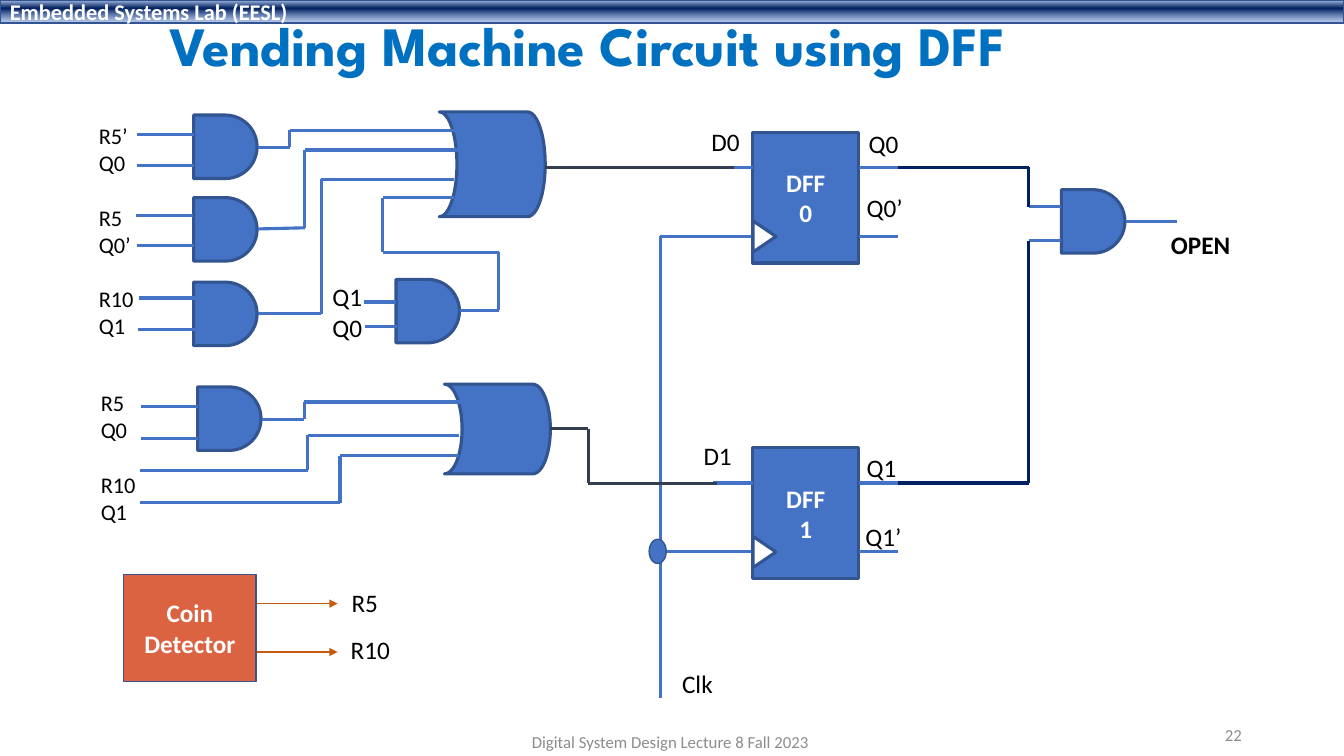
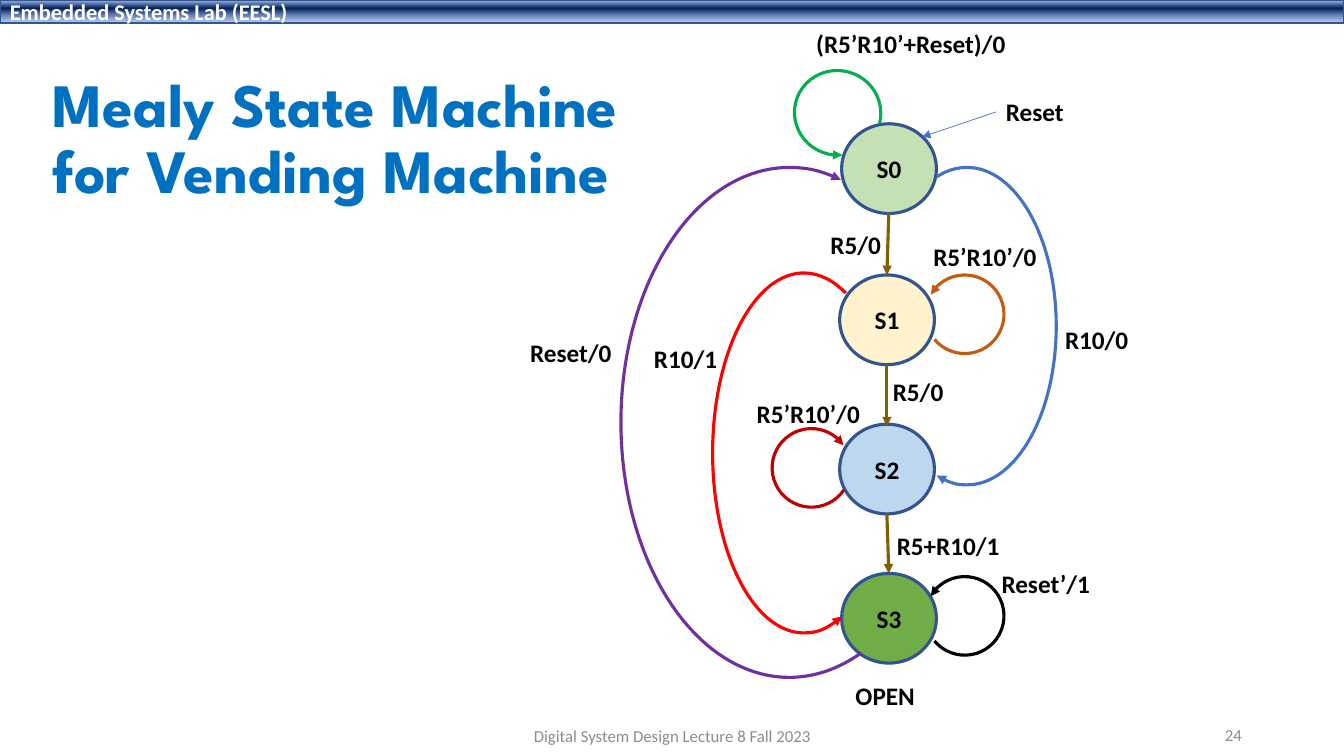
"""Build two slides on a vending machine: its circuit and its Mealy state machine."""
from dataclasses import dataclass
from itertools import pairwise
from typing import Any, NamedTuple

from lxml import etree
from pptx import Presentation
from pptx.dml import color
from pptx.enum import shapes, text
from pptx.oxml import ns
from pptx.util import Cm, Pt

Kind = shapes.MSO_SHAPE
Align = text.PP_ALIGN
Mid = text.MSO_ANCHOR.MIDDLE
Point = tuple[float, float]


@dataclass(frozen=True)
class Theme:
    """Colours, fonts and sizes used on both slides."""
    blue: str = "4472C4"
    edge: str = "325491"
    navy: str = "002060"
    slate: str = "333F50"
    title: str = "0070C0"
    grey: str = "8C8C8C"
    white: str = "FFFFFF"
    black: str = "000000"
    coin: str = "DC6342"
    rust: str = "C55A11"
    olive: str = "806000"
    band: tuple = ((2, "ABC0E4", 100), (38, "002060", 100), (93, "7E9ED6", 64))
    body: str = "Calibri"
    head: str = "League Spartan"
    foot: float = 12
    small: float = 16
    base: float = 18
    thick: float = 2.25
    thin: float = 1


T = Theme()


class Box(NamedTuple):
    """Place and size in centimetres."""
    x: float
    y: float
    w: float
    h: float


class Label(NamedTuple):
    """Free text that does not wrap."""
    words: str
    x: float
    y: float
    w: float
    bold: bool = False
    size: float = T.base


class Wire(NamedTuple):
    """A path of straight lines."""
    points: tuple[Point, ...]
    hue: str = T.blue
    width: float = T.thick
    tip: bool = False


class Loop(NamedTuple):
    """An arc with one arrowhead."""
    box: Box
    hue: str
    start: float = 41.84
    stop: float = 0
    end: str = "headEnd"
    turn: float = 0
    flip: bool = False


class State(NamedTuple):
    """A named circle of the state machine."""
    name: str
    x: float
    y: float
    fill: str


def put(item: Any, form: dict[str, Any]) -> None:
    """Set every value of a format on an object."""
    for key, value in form.items():
        setattr(item, key, value)


def rgb(code: str) -> color.RGBColor:
    """Turn a hex code into a colour."""
    return color.RGBColor.from_string(code)


def node(parent: Any, tag: str, **keys: str) -> Any:
    """Add a drawing element below a parent."""
    return etree.SubElement(parent, ns.qn(f"a:{tag}"), keys)


def stroke(item: Any, hue: str, width: float, end: str = "") -> None:
    """Set line colour and width, and an arrowhead if named."""
    item.line.color.rgb = rgb(hue)
    item.line.width = Pt(width)
    if end:
        node(item.get_or_add_ln(), end, type="triangle")


def write(item: Any, words: str, size: float = T.base, hue: str = T.black, bold: bool = False,
          font: str = T.body, align: Any = Align.LEFT, wrap: bool = True, space: float = 1) -> None:
    """Fill a shape with styled text."""
    frame = item.text_frame
    frame.text = words
    put(frame, {"word_wrap": wrap, "vertical_anchor": Mid})
    for para in frame.paragraphs:
        put(para, {"alignment": align, "line_spacing": space})
        for run in para.runs:
            put(run.font, {"name": font, "size": Pt(size), "bold": bold})
            run.font.color.rgb = rgb(hue)


def area(slide: Any, box: Box, words: str, **form: Any) -> None:
    """Add a text box."""
    write(slide.shapes.add_textbox(*map(Cm, box)), words, **form)


def shape(slide: Any, kind: Any, box: Box, fill: str = T.blue, width: float = T.thick,
          turn: float = 0) -> Any:
    """Add a filled preset shape."""
    item = slide.shapes.add_shape(kind, *map(Cm, box))
    put(item, {"rotation": turn})
    item.shadow.inherit = False
    item.fill.solid()
    item.fill.fore_color.rgb = rgb(fill)
    stroke(item, T.edge, width)
    return item


def label(slide: Any, tag: Label) -> None:
    """Add a label as high as its lines."""
    rows = tag.words.count("\n") + 1
    box = Box(tag.x, tag.y, tag.w, round(0.25 + rows * tag.size * 0.043, 2))
    area(slide, box, tag.words, size=tag.size, bold=tag.bold, wrap=False)


def wire(slide: Any, path: Wire) -> None:
    """Draw each leg of a wire."""
    for start, stop in pairwise(path.points):
        leg = slide.shapes.add_connector(shapes.MSO_CONNECTOR.STRAIGHT, *map(Cm, start + stop))
        stroke(leg, path.hue, path.width, "tailEnd" if path.tip else "")
        node(leg.element.spPr, "effectLst")


def loop(slide: Any, arc: Loop) -> None:
    """Draw an arc with its arrowhead."""
    item = shape(slide, Kind.ARC, arc.box, turn=arc.turn)
    item.fill.background()
    item.adjustments[0] = arc.start
    item.adjustments[1] = arc.stop
    stroke(item, arc.hue, T.thick, arc.end)
    if arc.flip:
        item.element.spPr.xfrm.set("flipH", "1")


def flop(slide: Any, name: str, top: float) -> None:
    """Draw a flip-flop with its pins."""
    left, right = 18.97, 21.64
    write(shape(slide, Kind.RECTANGLE, Box(left, top, 2.67, 3.3)), name,
          hue=T.white, bold=True, align=Align.CENTER)
    data, clock = round(top + 0.89, 2), round(top + 2.62, 2)
    for start, stop, y in ((17.98, left, data), (16.64, left, clock),
                           (right, 22.63, data), (right, 22.63, clock)):
        wire(slide, Wire(((start, y), (stop, y))))
    shape(slide, Kind.ISOSCELES_TRIANGLE, Box(18.87, top + 2.34, 0.79, 0.58), T.white, turn=90)


def page(deck: Any, title: str, box: Box, size: float, foot: Point, number: str) -> Any:
    """Add a slide with band, title and footer."""
    slide = deck.slides.add_slide(deck.slide_layouts[6])
    band = shape(slide, Kind.RECTANGLE, Box(0, 0, 33.87, 0.58), width=T.thin)
    band.fill.gradient()
    band.fill.gradient_angle = 270
    stops = band.element.spPr.find(".//" + ns.qn("a:gsLst"))
    stops.clear()
    for spot, hue, alpha in T.band:
        stop = node(stops, "gs", pos=str(spot * 1000))
        node(node(stop, "srgbClr", val=hue), "alpha", val=str(alpha * 1000))
    write(band, "Embedded Systems Lab (EESL)", T.small, T.white, True)
    area(slide, box, title, size=size, hue=T.title, bold=True, font=T.head, space=0.9)
    area(slide, Box(*foot, 11.43, 1), "Digital System Design Lecture 8 Fall 2023",
         size=T.foot, hue=T.grey, align=Align.CENTER)
    area(slide, Box(23.93, 18.01, 7.62, 1.02), number, size=T.foot, hue=T.grey, align=Align.RIGHT)
    return slide


PAIRS = tuple(Label(words, x, y, 1.4, size=T.small) for words, x, y in (
    ("R5’\nQ0", 2.24, 2.95), ("R5\nQ0’", 2.24, 5), ("R10\nQ1", 2.24, 7.05),
    ("R5\nQ0", 2.29, 9.68), ("R10\nQ1", 2.29, 11.73)))
PINS = PAIRS + (
    Label("D0", 17.68, 3.05, 1.24), Label("Q0", 21.64, 3.1, 1.27), Label("Q0’", 21.59, 4.72, 1.42),
    Label("Q1", 21.59, 11.28, 1.27), Label("Q1’", 21.56, 13, 1.42), Label("D1", 17.48, 10.97, 1.24),
    Label("Clk", 16.94, 16.71, 1.3), Label("OPEN", 29.26, 5.66, 2.03, True),
    Label("R5", 8.61, 14.68, 1.19), Label("R10", 8.59, 15.85, 1.5), Label("Q1\nQ0", 8.13, 6.96, 1.27))
ANDS = ((4.88, 2.9), (4.88, 4.98), (4.88, 7.11), (4.98, 9.75), (9.98, 7.04), (26.75, 4.78))
ORS = (Box(11.07, 2.82, 2.67, 2.64), Box(11.2, 9.68, 2.67, 2.26))
STUBS = ((3.45, 3.38, 1.43), (3.45, 4.18, 1.43), (3.43, 5.44, 1.43), (3.45, 6.18, 1.43),
         (3.5, 7.51, 1.43), (3.49, 8.31, 1.43), (3.55, 10.24, 1.43), (3.56, 11.04, 1.43),
         (9.17, 7.61, 0.8), (9.2, 8.23, 0.8), (25.93, 5.21, 0.82), (25.93, 6.07, 0.82),
         (28.37, 5.59, 1.3))
WIRES = tuple(Wire(((x, y), (round(x + w, 2), y))) for x, y, w in STUBS) + (
    Wire(((6.5, 3.71), (7.3, 3.71), (7.3, 3.28), (11.53, 3.28))),
    Wire(((6.5, 5.77), (7.68, 5.74), (7.68, 3.78), (11.56, 3.78))),
    Wire(((6.5, 7.9), (8.1, 7.9), (8.1, 4.52), (11.43, 4.52))),
    Wire(((11.58, 7.82), (12.57, 7.82), (12.57, 6.36), (9.64, 6.36), (9.64, 4.98), (11.43, 4.98))),
    Wire(((6.6, 10.57), (7.67, 10.57), (7.67, 10.13), (11.63, 10.13))),
    Wire(((3.53, 11.85), (7.76, 11.85), (7.76, 10.97), (11.56, 10.97))),
    Wire(((3.53, 12.67), (8.57, 12.67), (8.57, 11.48), (11.56, 11.48))),
    Wire(((16.64, 5.95), (16.64, 17.6))),
    Wire(((13.74, 4.22), (18.49, 4.22)), T.slate),
    Wire(((13.87, 10.8), (14.83, 10.8), (14.83, 12.18), (18.08, 12.18)), T.slate),
    Wire(((22.63, 4.22), (25.93, 4.22), (25.93, 5.21)), T.navy),
    Wire(((22.63, 12.17), (25.93, 12.17), (25.93, 6.07)), T.navy),
    Wire(((6.45, 15.21), (8.51, 15.21)), T.rust, T.thin, True),
    Wire(((6.45, 16.43), (8.51, 16.43)), T.rust, T.thin, True))

STATES = (State("S0", 21.21, 3.12, "C5E0B4"), State("S1", 21.16, 6.93, "FFF2CC"),
          State("S2", 21.16, 10.69, "BDD7EE"), State("S3", 21.21, 14.45, "70AD47"))
STEPS = (Wire(((22.4, 5.36), (22.35, 6.93)), T.olive, tip=True),
         Wire(((22.35, 9.19), (22.35, 10.74)), T.olive, tip=True),
         Wire(((22.35, 12.95), (22.4, 14.45)), T.olive, tip=True),
         Wire(((25.1, 2.82), (23.24, 3.45)), width=0.5, tip=True))
LOOPS = (Loop(Box(22.12, 4.22, 4.5, 8), T.blue, 155.17, 60.89, "tailEnd"),
         Loop(Box(17.96, 6.88, 4.6, 9.07), "FF0000", 153.18, 61.87, "tailEnd", flip=True),
         Loop(Box(15.65, 4.22, 8.48, 12.85), "7030A0", 154.79, 64.38, flip=True),
         Loop(Box(20.02, 1.78, 2.18, 2.13), "00B050", turn=13.8),
         Loop(Box(23.32, 6.93, 1.98, 1.98), T.rust, turn=140.3),
         Loop(Box(23.32, 14.53, 1.98, 1.98), T.black, turn=140.3),
         Loop(Box(19.46, 10.8, 1.98, 1.98), "C00000", turn=214.6, flip=True))
EVENTS = tuple(Label(*tag, bold=True) for tag in (
    ("OPEN", 21.31, 17.02, 2.03), ("R10/0", 26.59, 8.05, 2.13), ("R5/0", 20.68, 5.64, 1.8),
    ("R10/1", 16.23, 8.53, 2.13), ("Reset", 25.1, 2.31, 1.98), ("R5/0", 22.25, 9.35, 1.8),
    ("R5+R10/1", 22.35, 13.23, 3.12), ("(R5’R10’+Reset)/0", 20.32, 0.58, 5.33),
    ("R5’R10’/0", 23.27, 5.94, 3.15), ("Reset’/1", 24.99, 14.2, 2.77),
    ("Reset/0", 13.11, 8.38, 2.59), ("R5’R10’/0", 18.82, 9.91, 3.15)))


def circuit(deck: Any) -> None:
    """Draw the circuit slide."""
    slide = page(deck, "Vending Machine Circuit using DFF", Box(4.01, 0.41, 25.86, 1.65), 39.6,
                 (11.18, 18.2), "22")
    for name, top in (("DFF\n0", 3.33), ("DFF\n1", 11.28)):
        flop(slide, name, top)
    for box in ORS:
        shape(slide, Kind.FLOWCHART_STORED_DATA, box, turn=180)
    for spot in ANDS:
        shape(slide, Kind.FLOWCHART_DELAY, Box(*spot, 1.6, 1.6))
    for path in WIRES:
        wire(slide, path)
    shape(slide, Kind.OVAL, Box(16.36, 13.59, 0.43, 0.61), width=T.thin)
    write(shape(slide, Kind.RECTANGLE, Box(3.12, 14.48, 3.33, 2.69), T.coin, T.thin),
          "Coin Detector", hue=T.white, bold=True, align=Align.CENTER)
    for tag in PINS:
        label(slide, tag)


def machine(deck: Any) -> None:
    """Draw the state machine slide."""
    slide = page(deck, "Mealy State Machine\nfor Vending Machine", Box(1.07, 1.7, 16.48, 3.68), 44,
                 (11.23, 18.03), "24")
    for state in STATES:
        write(shape(slide, Kind.OVAL, Box(state.x, state.y, 2.39, 2.26), state.fill),
              state.name, bold=True, align=Align.CENTER)
    for path in STEPS:
        wire(slide, path)
    for arc in LOOPS:
        loop(slide, arc)
    for tag in EVENTS:
        label(slide, tag)


def main() -> None:
    """Build and save the deck."""
    deck = Presentation()
    put(deck, {"slide_width": Cm(33.87), "slide_height": Cm(19.05)})
    circuit(deck)
    machine(deck)
    deck.save("out.pptx")


if __name__ == "__main__":
    main()
